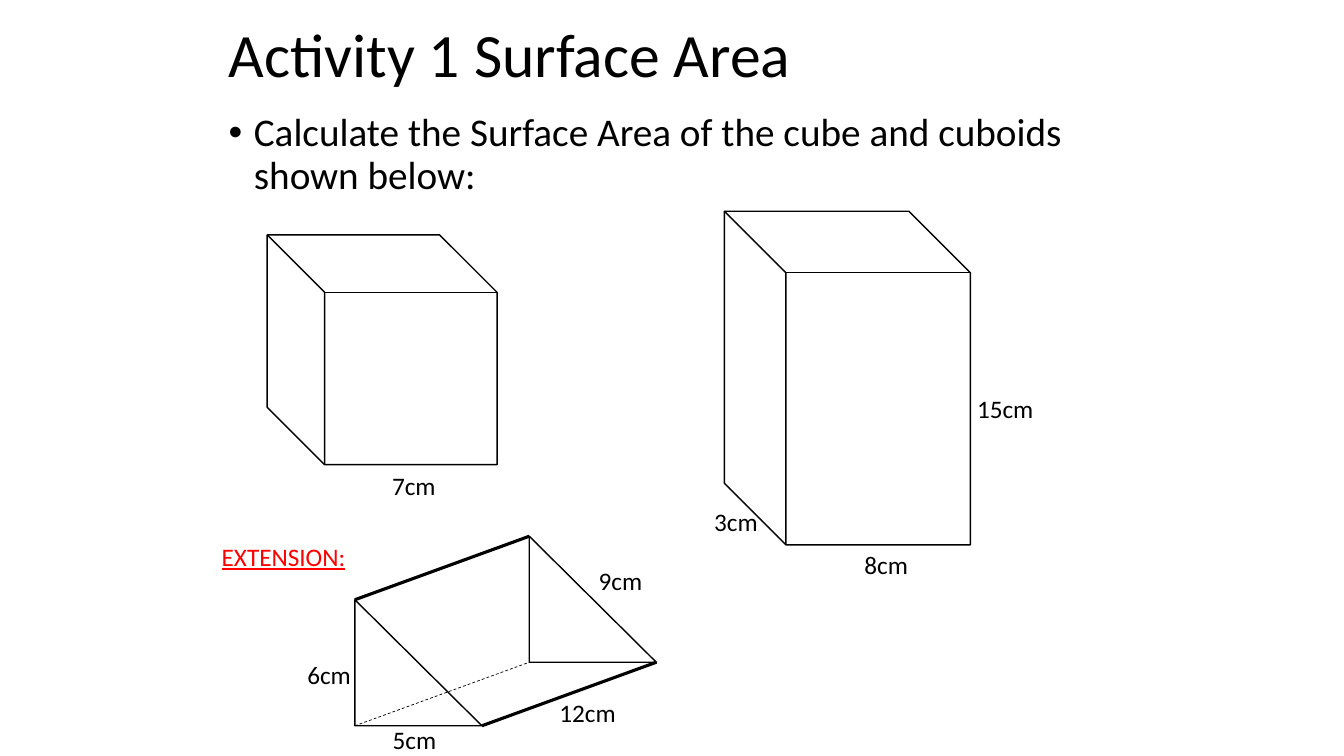
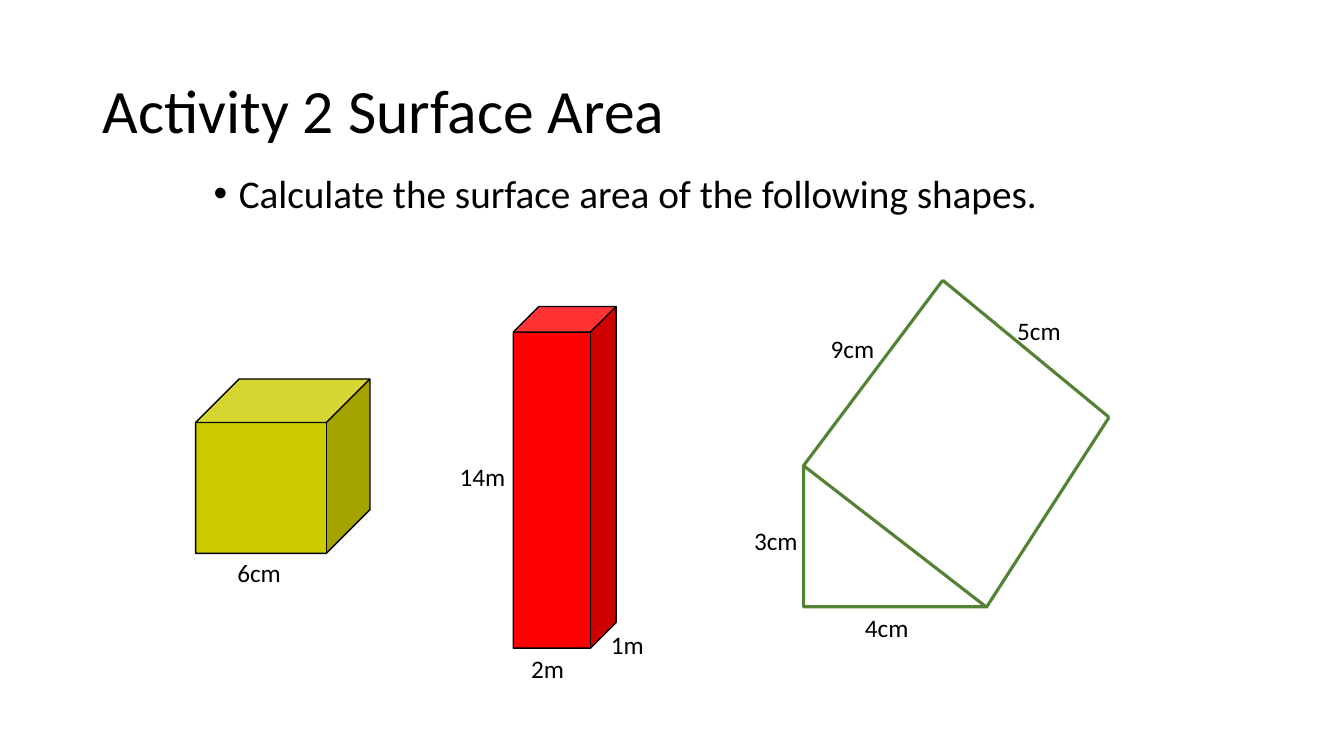
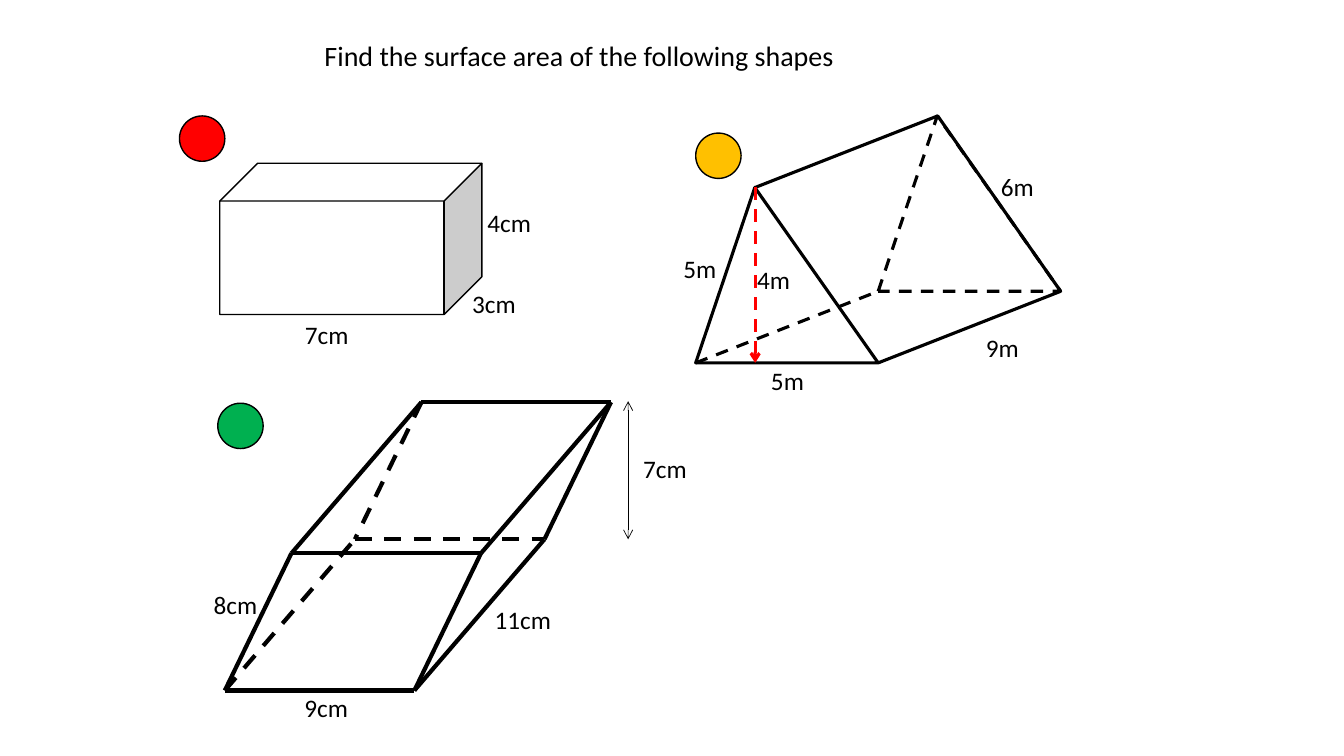
from dataclasses import dataclass
from itertools import pairwise

from lxml import etree
from pptx import Presentation
from pptx import util as u
from pptx.dml.color import RGBColor
from pptx.enum import dml, shapes, text
from pptx.oxml import ns

# Shared style
FONT = "Calibri"
BLACK = RGBColor(0x00, 0x00, 0x00)
WHITE = RGBColor(0xFF, 0xFF, 0xFF)
RED = RGBColor(0xFF, 0x00, 0x00)
AMBER = RGBColor(0xFF, 0xC0, 0x00)
GREEN = RGBColor(0x00, 0xB0, 0x50)
OLIVE = RGBColor(0xCC, 0xCC, 0x00)
LEAF = RGBColor(0x54, 0x82, 0x35)

CUBE = shapes.MSO_SHAPE.CUBE
RIGHT_TRIANGLE = shapes.MSO_SHAPE.RIGHT_TRIANGLE
TRIANGLE = shapes.MSO_SHAPE.ISOSCELES_TRIANGLE
CIRCLE = shapes.MSO_SHAPE.OVAL

Point = tuple[float, float]
Box = tuple[float, float, float, float]


@dataclass
class Label:
    """A measurement written beside an edge."""
    words: str
    left: float
    top: float
    width: float
    centered: bool = True


@dataclass
class Solid:
    """A preset shape that is a solid, a face or a marker."""
    kind: shapes.MSO_SHAPE
    box: Box
    fill: RGBColor | None = None
    outline: RGBColor = BLACK
    weight: float = 1
    rotation: float = 0
    apex: float | None = None
    dashed: bool = False


# Text
def write(canvas, words: str, box: Box, *, size: float = 18,
          color: RGBColor = BLACK, centered: bool = False,
          middle: bool = False, underline: bool = False,
          bullet: bool = False, spacing: float | None = None) -> None:
    frame = canvas.add_textbox(*map(u.Inches, box)).text_frame
    frame.word_wrap = True
    if middle:
        frame.vertical_anchor = text.MSO_ANCHOR.MIDDLE
    paragraph = frame.paragraphs[0]
    if bullet:
        properties = paragraph._p.get_or_add_pPr()
        properties.set("marL", str(u.Inches(0.25)))
        properties.set("indent", str(u.Inches(-0.25)))
        etree.SubElement(properties, ns.qn("a:buFont")).set("typeface", "Arial")
        etree.SubElement(properties, ns.qn("a:buChar")).set("char", "•")
    if spacing:
        paragraph.line_spacing = spacing
    if centered:
        paragraph.alignment = text.PP_ALIGN.CENTER
    run = paragraph.add_run()
    run.text = words
    run.font.name = FONT
    run.font.size = u.Pt(size)
    run.font.color.rgb = color
    if underline:
        run.font.underline = True


def write_title(canvas, words: str, box: Box, size: float = 44) -> None:
    write(canvas, words, box, size=size, middle=True, spacing=0.9)


def write_task(canvas, words: str, box: Box) -> None:
    write(canvas, words, box, size=28, bullet=True, spacing=0.9)


def write_labels(canvas, labels: list[Label]) -> None:
    for label in labels:
        write(canvas, label.words, (label.left, label.top, label.width, 0.4),
              centered=label.centered)


# Shapes and lines
def draw_solids(canvas, solids: list[Solid]) -> None:
    for solid in solids:
        shape = canvas.add_shape(solid.kind, *map(u.Inches, solid.box))
        shape.shadow.inherit = False
        shape.rotation = solid.rotation
        if solid.apex is not None:
            shape.adjustments[0] = solid.apex
        if solid.fill is None:
            shape.fill.background()
        else:
            shape.fill.solid()
            shape.fill.fore_color.rgb = solid.fill
        shape.line.color.rgb = solid.outline
        shape.line.width = u.Pt(solid.weight)
        if solid.dashed:
            shape.line.dash_style = dml.MSO_LINE.DASH


def draw_line(canvas, start: Point, end: Point, *, weight: float = 2.25,
              color: RGBColor = BLACK, dashed: bool = False,
              arrows: tuple[str, ...] = ()) -> None:
    line = canvas.add_connector(shapes.MSO_CONNECTOR.STRAIGHT,
                                *map(u.Inches, (*start, *end)))
    line.line.color.rgb = color
    line.line.width = u.Pt(weight)
    if dashed:
        line.line.dash_style = dml.MSO_LINE.DASH
    properties = line._element.spPr
    for arrow in arrows:
        etree.SubElement(properties.find(ns.qn("a:ln")),
                         ns.qn(f"a:{arrow}")).set("type", "arrow")
    etree.SubElement(properties, ns.qn("a:effectLst"))


def moved(point: Point, depth: Point) -> Point:
    return point[0] + depth[0], point[1] + depth[1]


def draw_depth_edges(canvas, corners: list[Point], depth: Point,
                     weight: float, hidden_weight: float) -> None:
    """Join front and back faces; the edge at the first corner is hidden."""
    for index, corner in enumerate(corners):
        hidden = index == 0
        draw_line(canvas, corner, moved(corner, depth), dashed=hidden,
                  weight=hidden_weight if hidden else weight)


def draw_prism(canvas, corners: list[Point], depth: Point, weight: float) -> None:
    """Draw all edges; those that meet the first back corner are hidden."""
    back = [moved(corner, depth) for corner in corners]
    for face in (corners, back):
        for start, end in pairwise([*face, face[0]]):
            draw_line(canvas, start, end, weight=weight,
                      dashed=back[0] in (start, end))
    draw_depth_edges(canvas, corners, depth, weight, weight)


# Slides
def build_activity_1(canvas) -> None:
    write_title(canvas, "Activity 1 Surface Area", (2.17, 0, 9, 1.15))
    write_task(canvas, "Calculate the Surface Area of the cube and cuboids shown below:",
               (2.17, 1.07, 9, 5.63))
    draw_solids(canvas, [
        Solid(CUBE, (2.65, 2.33, 2.28, 2.28), rotation=270),
        Solid(CUBE, (6.75, 2.53, 3.31, 2.44), rotation=270),
        Solid(RIGHT_TRIANGLE, (3.52, 5.95, 1.26, 1.25)),
        Solid(RIGHT_TRIANGLE, (5.25, 5.32, 1.26, 1.25)),
    ])
    draw_depth_edges(canvas, [(3.52, 7.2), (3.52, 5.95), (4.78, 7.2)],
                     (1.73, -0.63), 2.25, 0.5)
    write_labels(canvas, [
        Label("7cm", 3.79, 4.62, 0.98, False),
        Label("8cm", 8.24, 5.4, 1.1),
        Label("3cm", 6.75, 4.97, 1.1),
        Label("15cm", 9.42, 3.85, 1.1),
        Label("5cm", 3.6, 7.14, 1.02),
        Label("6cm", 2.95, 6.49, 1.14, False),
        Label("12cm", 5.45, 6.87, 1.14, False),
        Label("9cm", 5.84, 5.56, 1.14, False),
    ])
    write(canvas, "EXTENSION:", (2.1, 5.32, 2.52, 0.4), color=RED, underline=True)


def build_activity_2(canvas) -> None:
    write_title(canvas, "Activity 2 Surface Area", (0.92, 0.4, 11.5, 1.45))
    write_task(canvas, "Calculate the surface area of the following shapes.",
               (2.02, 1.68, 9, 4.95))
    draw_solids(canvas, [
        Solid(CUBE, (5.09, 3.04, 1.02, 3.39), RED),
        Solid(RIGHT_TRIANGLE, (7.97, 4.62, 1.81, 1.4), WHITE, LEAF, 2.25),
        Solid(CUBE, (1.94, 3.76, 1.73, 1.73), OLIVE),
    ])
    sloping_face = [(7.97, 4.62), (9.35, 2.78), (11, 4.14), (9.78, 6.03)]
    for start, end in pairwise(sloping_face):
        draw_line(canvas, start, end, color=LEAF)
    write_labels(canvas, [
        Label("2m", 5.17, 6.43, 0.79, False),
        Label("1m", 5.96, 6.19, 0.79, False),
        Label("14m", 4.46, 4.53, 0.79, False),
        Label("4cm", 8.48, 6.03, 0.79, False),
        Label("3cm", 7.38, 5.16, 0.79, False),
        Label("9cm", 8.14, 3.26, 0.79, False),
        Label("5cm", 9.99, 3.08, 0.79, False),
        Label("6cm", 1.94, 5.48, 1.26),
    ])


def build_levels(canvas) -> None:
    write_title(canvas, "Find the surface area of the following shapes",
                (3.12, 0.3, 8.04, 0.54), size=20)

    # Cuboid and triangular prism
    draw_solids(canvas, [
        Solid(CUBE, (2.18, 1.62, 2.6, 1.5), WHITE),
        Solid(TRIANGLE, (6.9, 1.86, 1.81, 1.74), WHITE, weight=2.25, apex=0.324),
        Solid(TRIANGLE, (8.71, 1.15, 1.81, 1.74), WHITE, weight=2.25, apex=0.324,
              dashed=True),
    ])
    apex, depth = (7.49, 1.86), (1.81, -0.71)
    right_foot = (8.71, 3.6)
    draw_depth_edges(canvas, [(6.9, 3.6), apex, right_foot], depth, 2.25, 2.25)
    draw_line(canvas, moved(apex, depth), moved(right_foot, depth))
    draw_line(canvas, apex, (7.49, 3.6), color=RED, dashed=True, arrows=("tailEnd",))
    write_labels(canvas, [
        Label("7cm", 2.57, 3.12, 1.34),
        Label("3cm", 4.23, 2.81, 1.34),
        Label("4cm", 4.38, 2.01, 1.34),
        Label("5m", 7.14, 3.58, 1.34),
        Label("9m", 9.27, 3.25, 1.34),
        Label("6m", 9.42, 1.65, 1.34),
        Label("5m", 6.27, 2.46, 1.34),
        Label("4m", 7.41, 2.57, 0.91, False),
    ])

    # Slanted prism with its measurements
    slanted = canvas.add_group_shape().shapes
    draw_prism(slanted, [(2.23, 6.85), (4.11, 6.85), (4.77, 5.49), (2.89, 5.49)],
               (1.29, -1.5), 3)
    draw_line(slanted, (6.23, 3.98), (6.23, 5.35), weight=0.5,
              arrows=("headEnd", "tailEnd"))
    write_labels(slanted, [
        Label("9cm", 2.6, 6.82, 1.27),
        Label("8cm", 1.7, 5.8, 1.27),
        Label("11cm", 4.55, 5.95, 1.27),
        Label("7cm", 5.96, 4.45, 1.27),
    ])

    # Difficulty markers
    markers = [(1.78, 1.15, RED), (6.9, 1.32, AMBER), (2.16, 4, GREEN)]
    draw_solids(canvas, [Solid(CIRCLE, (left, top, 0.45, 0.45), color)
                         for left, top, color in markers])


def main() -> None:
    deck = Presentation()
    deck.slide_width, deck.slide_height = u.Inches(13.33), u.Inches(7.5)
    for build in (build_activity_1, build_activity_2, build_levels):
        build(deck.slides.add_slide(deck.slide_layouts[6]).shapes)
    deck.save("out.pptx")


if __name__ == "__main__":
    main()
